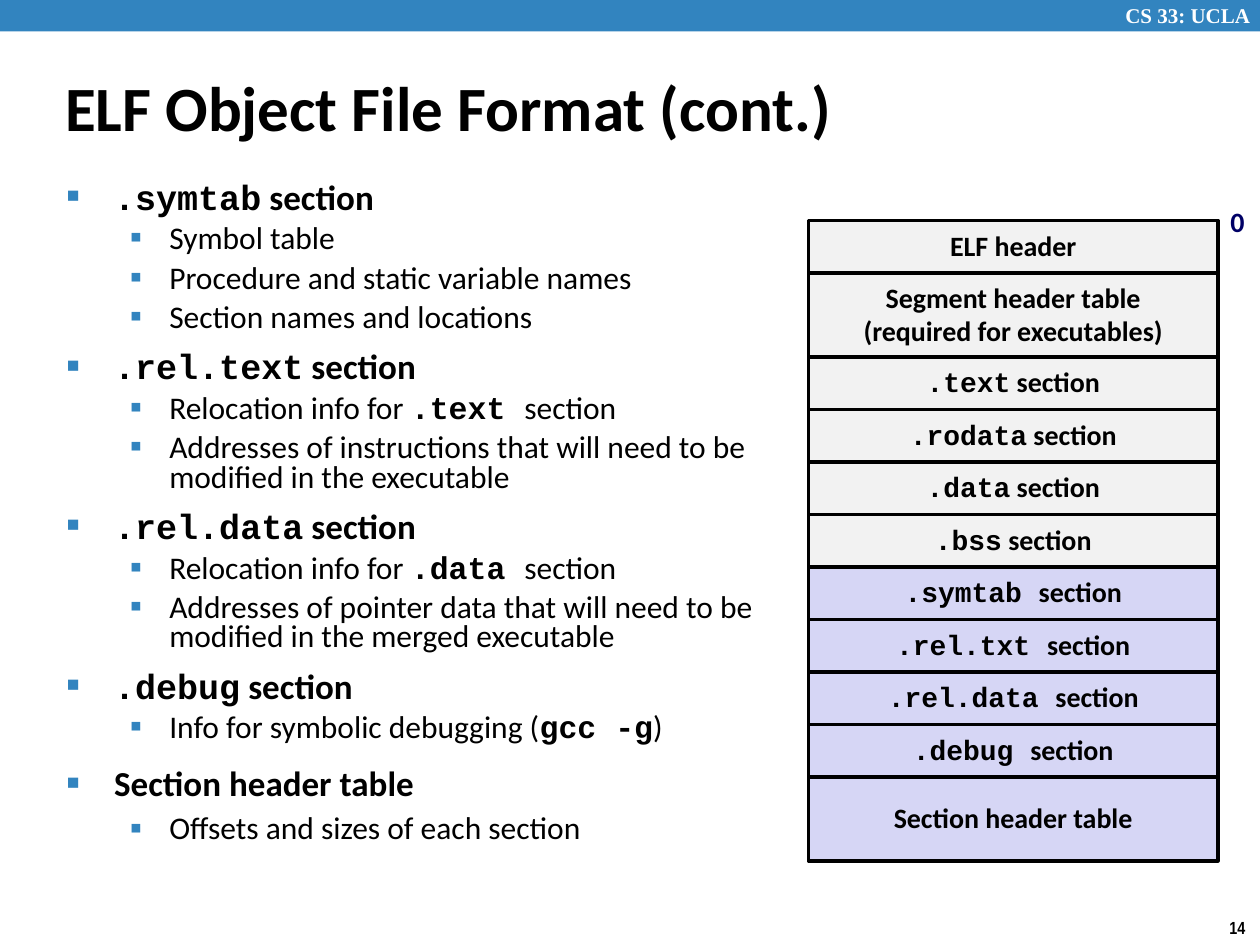
from dataclasses import dataclass

from lxml.etree import SubElement
from pptx import Presentation
from pptx.dml.color import RGBColor
from pptx.enum.shapes import MSO_SHAPE
from pptx.enum.text import MSO_ANCHOR, MSO_AUTO_SIZE, PP_ALIGN
from pptx.oxml.ns import qn
from pptx.util import Pt


@dataclass(frozen=True)
class Theme:
    ink: str = "000000"
    paper: str = "FFFFFF"
    blue: str = "3284BF"
    navy: str = "000066"
    gray: str = "F2F2F2"
    lilac: str = "D6D6F5"
    sans: str = "Calibri"
    mono: str = "Courier New"
    serif: str = "Times New Roman"
    narrow: str = "Arial Narrow"
    title: int = 36
    head: int = 20
    item: int = 18
    cell: int = 16
    course: int = 12
    page: int = 10


THEME = Theme()

# Text between backticks is set as code.
TOPICS = [
    ("`.symtab` section", 0.71, 0.78,
     ["Symbol table", "Procedure and static variable names",
      "Section names and locations"]),
    ("`.rel.text` section", 0.71, 0.78,
     ["Relocation info for `.text `section",
      "Addresses of instructions that will need to be modified in the executable"]),
    ("`.rel.data` section", 0.71, 0.78,
     ["Relocation info for `.data `section",
      "Addresses of pointer data that will need to be modified in the merged executable"]),
    ("`.debug` section", 0.71, 0.78,
     ["Info for symbolic debugging (`gcc -g`)"]),
    ("Section header table", 0.88, 0.88,
     ["Offsets and sizes of each section"]),
]

# Lines of text, height, fill, line spacing
ROWS = [
    (["ELF header"], 30, THEME.gray, 0.98),
    (["Segment header table", "(required for executables)"], 48, THEME.gray, 0.98),
    *[([f"`{name}` section"], 30, THEME.gray, 0.94)
      for name in (".text", ".rodata", ".data", ".bss")],
    *[([f"`{name} `section"], 30, THEME.lilac, 0.94)
      for name in (".symtab", ".rel.txt", ".rel.data", ".debug")],
    (["Section header table"], 48, THEME.lilac, 0.98),
]


def write(frame, text, first=False, size=THEME.cell, color=THEME.ink,
          face=THEME.sans, bold=True, align=PP_ALIGN.LEFT, level=0,
          lead=None, before=0, bullet=None):
    """Add one paragraph; bullet is (sign, percent, left, hang)."""
    para = frame.paragraphs[0] if first else frame.add_paragraph()
    if bullet:
        mark(para, *bullet)
    para.level = level
    para.alignment = align
    para.space_before = Pt(0 if first else before)
    if lead:
        para.line_spacing = lead
    for num, part in enumerate(text.split("`")):
        if not part:
            continue
        code = num % 2 == 1
        run = para.add_run()
        run.text = part
        run.font.name = THEME.mono if code else face
        run.font.size = Pt(size)
        run.font.bold = bold or code
        run.font.color.rgb = RGBColor.from_string(color)


def mark(para, sign, percent, left, hang):
    """Give a paragraph its bullet and hanging indent."""
    props = para._p.get_or_add_pPr()
    props.set("marL", str(Pt(left)))
    props.set("indent", str(Pt(-hang)))
    tint = SubElement(props, qn("a:buClr"))
    SubElement(tint, qn("a:srgbClr"), val=THEME.blue)
    SubElement(props, qn("a:buSzPct"), val=str(percent * 1000))
    SubElement(props, qn("a:buChar"), char=sign)


def place(shape, left, top, width, height):
    shape.left, shape.top = Pt(left), Pt(top)
    shape.width, shape.height = Pt(width), Pt(height)


def block(slide, left, top, width, height, fill, line=None):
    """Add a filled rectangle, outlined if a line width is given."""
    shape = slide.shapes.add_shape(
        MSO_SHAPE.RECTANGLE, Pt(left), Pt(top), Pt(width), Pt(height))
    shape.shadow.inherit = False
    shape.fill.solid()
    shape.fill.fore_color.rgb = RGBColor.from_string(fill)
    if line:
        shape.line.color.rgb = RGBColor.from_string(THEME.ink)
        shape.line.width = Pt(line)
    else:
        shape.line.fill.background()
    return shape


def label(slide, left, top, width, height, text, wrap=False, **style):
    box = slide.shapes.add_textbox(Pt(left), Pt(top), Pt(width), Pt(height))
    box.text_frame.word_wrap = wrap
    write(box.text_frame, text, first=True, **style)


def banner(slide, left, top, width, height):
    block(slide, left, top, width, height, THEME.blue)
    label(slide, left + width - 84, top - 2, 89, 21.6, "CS 33: UCLA", wrap=True,
          size=THEME.course, color=THEME.paper, face=THEME.serif)


def heading(slide, *box):
    title = slide.shapes.title
    place(title, *box)
    frame = title.text_frame
    frame.auto_size = MSO_AUTO_SIZE.NONE
    frame.vertical_anchor = MSO_ANCHOR.MIDDLE
    write(frame, "ELF Object File Format (cont.)", first=True, size=THEME.title)


def outline(slide, *box):
    """Fill the body placeholder with the topics and their items."""
    body = slide.placeholders[1]
    place(body, *box)
    frame = body.text_frame
    frame.auto_size = MSO_AUTO_SIZE.NONE
    for num, (head, tight, loose, items) in enumerate(TOPICS):
        write(frame, head, first=num == 0, size=THEME.head, lead=tight,
              before=12.5, bullet=("■", 60, 27, 27))
        for item in items:
            write(frame, item, size=THEME.item, bold=False, level=1,
                  lead=loose, before=5.6, bullet=("▪", 110, 58.5, 22.5))


def layers(slide, left, top, width):
    """Stack the parts of the object file, with its start offset."""
    label(slide, left + width, top - 12, 22, 26.5, "0",
          color=THEME.navy, lead=0.98)
    for lines, height, fill, lead in ROWS:
        shape = block(slide, left, top, width, height, fill, line=2)
        frame = shape.text_frame
        frame.word_wrap = False
        frame.vertical_anchor = MSO_ANCHOR.MIDDLE
        for num, text in enumerate(lines):
            write(frame, text, first=num == 0, align=PP_ALIGN.CENTER, lead=lead)
        top += height


def main():
    deck = Presentation()
    deck.slide_width, deck.slide_height = Pt(720), Pt(540)
    slide = deck.slides.add_slide(deck.slide_layouts[1])
    banner(slide, 0, 0, 720, 18)
    heading(slide, 30, 30, 686, 62)
    outline(slide, 31, 103, 415.5, 430.5)
    layers(slide, 462, 126, 234)
    label(slide, 695.5, 520.5, 24.5, 19.5, "14",
          size=THEME.page, face=THEME.narrow)
    deck.save("out.pptx")


if __name__ == "__main__":
    main()
